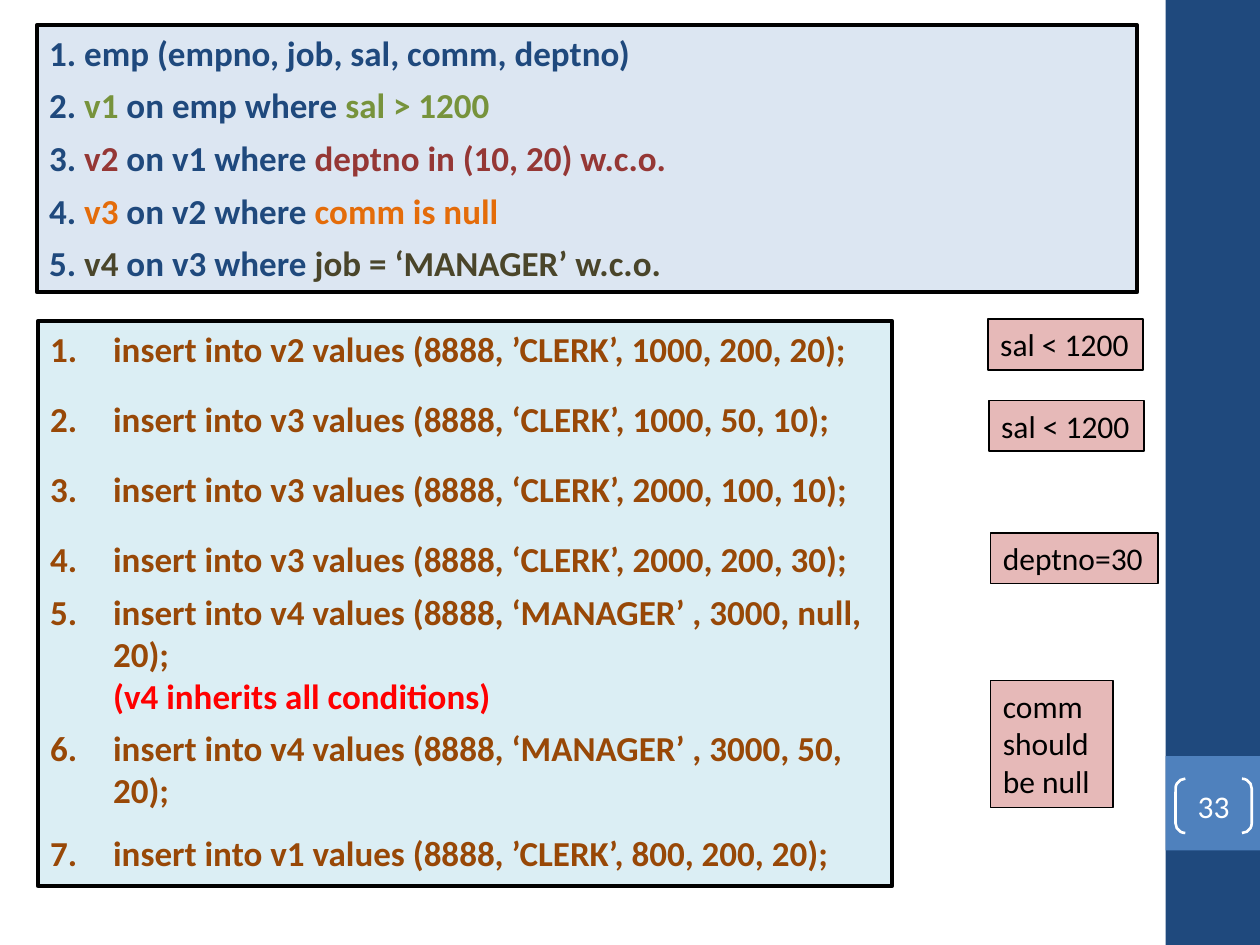
from dataclasses import dataclass

from lxml.etree import SubElement
from pptx import Presentation
from pptx.dml.color import RGBColor
from pptx.enum.shapes import MSO_SHAPE as Preset
from pptx.enum.text import MSO_ANCHOR as Anchor, MSO_AUTO_SIZE as AutoSize, PP_ALIGN as Align
from pptx.oxml.ns import qn
from pptx.util import Pt


@dataclass(frozen=True)
class Theme:
    font: str = "Calibri"
    body_size: int = 20
    note_size: int = 18
    navy: str = "1F497D"
    blue: str = "4F81BD"
    white: str = "FFFFFF"
    black: str = "000000"
    green: str = "77933C"
    maroon: str = "953735"
    orange: str = "E46C0A"
    olive: str = "4A452A"
    brown: str = "984807"
    red: str = "FF0000"
    view_fill: str = "DCE6F2"
    insert_fill: str = "DBEEF4"
    reason_fill: str = "E6B9B8"


THEME = Theme()


class SlideBuilder:
    def __init__(self, slide, theme):
        self.slide = slide
        self.theme = theme

    def band(self, left, top, width, height, color):
        shape = self.slide.shapes.add_shape(
            Preset.RECTANGLE, Pt(left), Pt(top), Pt(width), Pt(height))
        shape.shadow.inherit = False
        shape.fill.solid()
        shape.fill.fore_color.rgb = RGBColor.from_string(color)
        shape.line.fill.background()

    def page_number(self, left, top, width, height, text):
        shape = self.slide.shapes.add_shape(
            Preset.DOUBLE_BRACKET, Pt(left), Pt(top), Pt(width), Pt(height))
        shape.adjustments[0] = 0.18
        shape.shadow.inherit = False
        shape.fill.background()
        self.outline(shape, self.theme.white, 1.5)
        frame = shape.text_frame
        frame.margin_left = frame.margin_right = 0
        frame.margin_top = frame.margin_bottom = 0
        frame.vertical_anchor = Anchor.MIDDLE
        frame.text = text
        frame.paragraphs[0].alignment = Align.CENTER
        self.style(frame.paragraphs[0].runs[0], self.theme.note_size, self.theme.white)

    def box(self, left, top, width, height, fill, line_width, wrap=True):
        shape = self.slide.shapes.add_textbox(Pt(left), Pt(top), Pt(width), Pt(height))
        shape.fill.solid()
        shape.fill.fore_color.rgb = RGBColor.from_string(fill)
        self.outline(shape, self.theme.black, line_width)
        shape.text_frame.word_wrap = wrap
        shape.text_frame.auto_size = AutoSize.SHAPE_TO_FIT_TEXT
        return shape.text_frame

    def outline(self, shape, color, width):
        shape.line.color.rgb = RGBColor.from_string(color)
        shape.line.width = Pt(width)

    def style(self, run, size, color, bold=False):
        run.font.name = self.theme.font
        run.font.size = Pt(size)
        run.font.bold = bold
        run.font.color.rgb = RGBColor.from_string(color)

    def paragraph(self, frame, index):
        return frame.paragraphs[0] if index == 0 else frame.add_paragraph()

    def indent(self, paragraph, level, margin=0, first=0):
        paragraph.level = level
        properties = paragraph._p.get_or_add_pPr()
        properties.set("marL", str(Pt(margin)))
        properties.set("indent", str(Pt(first)))
        return properties

    def views(self, frame, lines):
        for index, parts in enumerate(lines):
            paragraph = self.paragraph(frame, index)
            self.indent(paragraph, 1)
            if index:
                paragraph.space_before = Pt(6)
            for text, color in parts:
                run = paragraph.add_run()
                run.text = text
                self.style(run, self.theme.body_size, color, bold=True)

    def inserts(self, frame, items):
        for index, (text, numbered, before, after) in enumerate(items):
            paragraph = self.paragraph(frame, index)
            paragraph.text = text
            if numbered:
                properties = self.indent(paragraph, 1, 36, -36)
                SubElement(properties, qn("a:buFont"), typeface="+mj-lt")
                SubElement(properties, qn("a:buAutoNum"), type="arabicPeriod")
            else:
                self.indent(paragraph, 2, 36)
            paragraph.space_before = Pt(before)
            paragraph.space_after = Pt(after)
            color = self.theme.brown if numbered else self.theme.red
            self.style(paragraph.runs[0], self.theme.body_size, color, bold=True)

    def reason(self, left, top, width, height, lines, wrap):
        frame = self.box(left, top, width, height, self.theme.reason_fill, 1, wrap)
        for index, text in enumerate(lines):
            paragraph = self.paragraph(frame, index)
            paragraph.text = text
            self.style(paragraph.runs[0], self.theme.note_size, self.theme.black)


def view_line(number, name, base, condition, color):
    navy = THEME.navy
    return [(f"{number}. ", navy), (name, color),
            (f" on {base} where ", navy), (condition, color)]


def main():
    presentation = Presentation()
    presentation.slide_width, presentation.slide_height = Pt(720), Pt(540)
    slide = presentation.slides.add_slide(presentation.slide_layouts[6])
    builder = SlideBuilder(slide, THEME)

    builder.band(666, 0, 54, 540, THEME.navy)
    builder.band(666, 432, 54, 54, THEME.blue)
    builder.page_number(671.75, 445, 43.5, 31, "33")

    views = builder.box(21, 14.4, 628.8, 152.6, THEME.view_fill, 2.25)
    builder.views(views, [
        [("1. emp (empno, job, sal, comm, deptno)", THEME.navy)],
        view_line(2, "v1", "emp", "sal > 1200", THEME.green),
        view_line(3, "v2", "v1", "deptno in (10, 20) w.c.o.", THEME.maroon),
        view_line(4, "v3", "v2", "comm is null", THEME.orange),
        view_line(5, "v4", "v3", "job = ‘MANAGER’ w.c.o.", THEME.olive),
    ])

    inserts = builder.box(21.6, 183.6, 488.4, 322.5, THEME.insert_fill, 2.25)
    builder.inserts(inserts, [
        ("insert into v2 values (8888, ’CLERK’, 1000, 200, 20);", True, 0, 6),
        ("insert into v3 values (8888, ‘CLERK’, 1000, 50, 10);", True, 10, 6),
        ("insert into v3 values (8888, ‘CLERK’, 2000, 100, 10);", True, 10, 6),
        ("insert into v3 values (8888, ‘CLERK’, 2000, 200, 30);", True, 10, 6),
        ("insert into v4 values (8888, ‘MANAGER’ , 3000, null, 20);", True, 0, 0),
        ("(v4 inherits all conditions)", False, 0, 0),
        ("insert into v4 values (8888, ‘MANAGER’ , 3000, 50, 20);", True, 6, 6),
        ("insert into v1 values (8888, ’CLERK’, 800, 200, 20);", True, 6, 6),
    ])

    for left, top, width, height, lines, wrap in [
        (564.5, 182.4, 88.6, 29, ["sal < 1200"], False),
        (565, 228.8, 88.6, 29, ["sal < 1200"], False),
        (566, 304.4, 95.6, 29, ["deptno=30"], False),
        (566, 388.8, 70, 72.7, ["comm should", "be null"], True),
    ]:
        builder.reason(left, top, width, height, lines, wrap)

    presentation.save("out.pptx")


if __name__ == "__main__":
    main()
